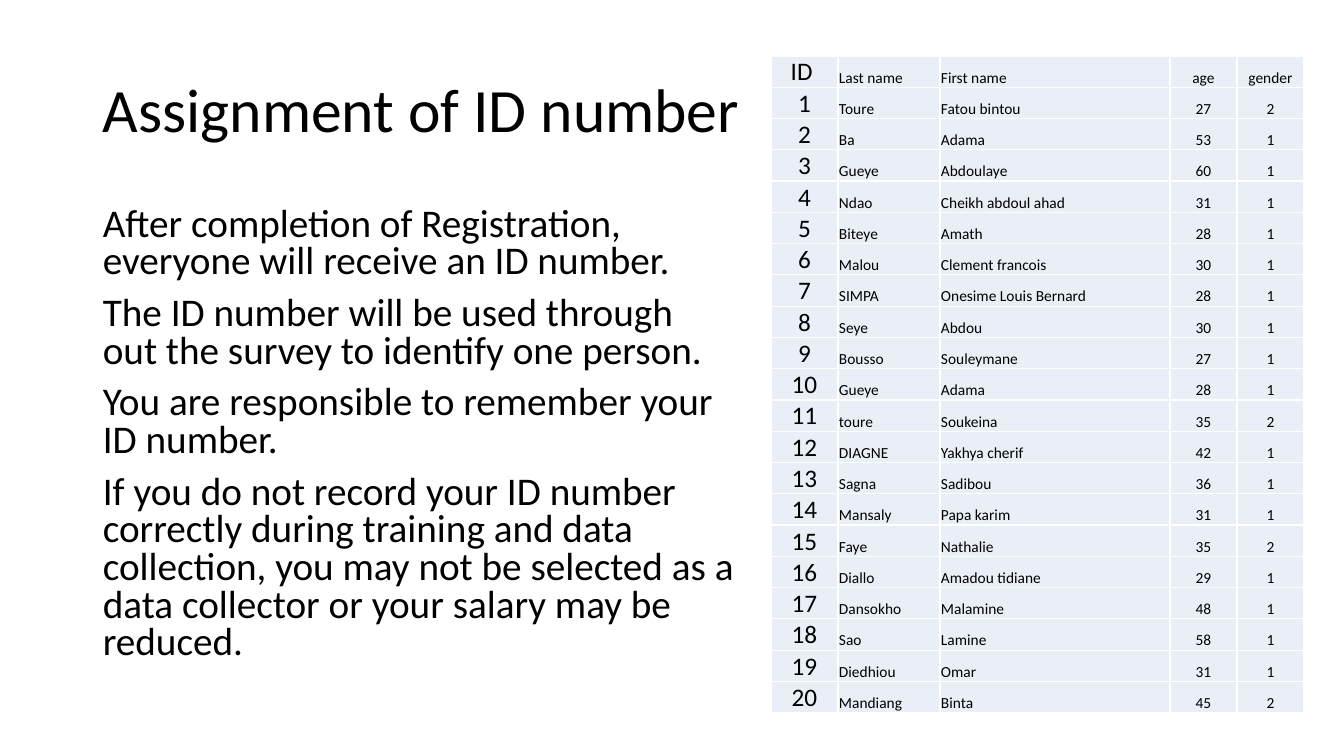
from lxml import etree
from pptx import Presentation
from pptx import util as u
from pptx.dml.color import RGBColor
from pptx.enum import text
from pptx.oxml.ns import qn

FONT = "Calibri"
BLACK, WHITE, PALE_BLUE = "000000", "FFFFFF", "EAEFF7"

TITLE = "Assignment of ID number"
RULES = [
    "After completion of Registration, everyone will receive an ID number.",
    "The ID number will be used through out the survey to identify one person.",
    "You are responsible to remember your ID number.",
    "If you do not record your ID number correctly during training and data "
    "collection, you may not be selected as a data collector or your salary "
    "may be reduced.",
]
HEADER = ("ID ", "Last name", "First name", "age", "gender")
# Last name, first name, age, gender; the ID is the position in the list
PEOPLE = [
    ("Toure", "Fatou bintou", 27, 2),
    ("Ba", "Adama", 53, 1),
    ("Gueye", "Abdoulaye", 60, 1),
    ("Ndao", "Cheikh abdoul ahad", 31, 1),
    ("Biteye", "Amath", 28, 1),
    ("Malou", "Clement francois", 30, 1),
    ("SIMPA", "Onesime Louis Bernard", 28, 1),
    ("Seye", "Abdou", 30, 1),
    ("Bousso", "Souleymane", 27, 1),
    ("Gueye", "Adama", 28, 1),
    ("toure", "Soukeina", 35, 2),
    ("DIAGNE", "Yakhya cherif", 42, 1),
    ("Sagna", "Sadibou", 36, 1),
    ("Mansaly", "Papa karim", 31, 1),
    ("Faye", "Nathalie", 35, 2),
    ("Diallo", "Amadou tidiane", 29, 1),
    ("Dansokho", "Malamine", 48, 1),
    ("Sao", "Lamine", 58, 1),
    ("Diedhiou", "Omar", 31, 1),
    ("Mandiang", "Binta", 45, 2),
]
COLUMN_WIDTHS = (67, 102, 230, 67, 67)
NAME_COLUMNS = (1, 2)


def px(length):
    return u.Emu(round(length * 914400 / 100.8))


def color(hex_code):
    return RGBColor.from_string(hex_code)


def style(paragraph, size):
    paragraph.font.name = FONT
    paragraph.font.size = u.Pt(size)
    paragraph.font.color.rgb = color(BLACK)


def add_text(slide, box, lines, size, spacing, anchor):
    frame = slide.shapes.add_textbox(*map(px, box)).text_frame
    frame.word_wrap = True
    frame.vertical_anchor = anchor
    frame.text = "\n".join(lines)
    for number, paragraph in enumerate(frame.paragraphs):
        paragraph.line_spacing = spacing
        if number:
            paragraph.space_before = u.Pt(10)
        style(paragraph, size)


def add_borders(cell):
    properties = cell._tc.get_or_add_tcPr()
    for side in ("a:lnL", "a:lnR", "a:lnT", "a:lnB"):
        border = etree.SubElement(properties, qn(side), w=str(u.Pt(1)))
        fill = etree.SubElement(border, qn("a:solidFill"))
        etree.SubElement(fill, qn("a:srgbClr"), val=WHITE)


def add_roster(slide, box):
    rows = [HEADER] + [(number, *person) for number, person in enumerate(PEOPLE, 1)]
    roster = slide.shapes.add_table(len(rows), len(HEADER), *map(px, box)).table
    roster.first_row = roster.horz_banding = False
    for column, width in zip(roster.columns, COLUMN_WIDTHS):
        column.width = px(width)
    for r, row in enumerate(rows):
        for c, value in enumerate(row):
            cell = roster.cell(r, c)
            cell.margin_left = cell.margin_right = cell.margin_top = px(1)
            cell.margin_bottom = 0
            cell.vertical_anchor = text.MSO_ANCHOR.BOTTOM
            add_borders(cell)
            cell.fill.solid()
            cell.fill.fore_color.rgb = color(PALE_BLUE)
            cell.text = str(value)
            paragraph = cell.text_frame.paragraphs[0]
            if c not in NAME_COLUMNS:
                paragraph.alignment = text.PP_ALIGN.CENTER
            style(paragraph, 11 if c else 18)


def main():
    deck = Presentation()
    deck.slide_width, deck.slide_height = px(1344), px(756)
    slide = deck.slides.add_slide(deck.slide_layouts[6])

    # Title and rules on the left
    add_text(slide, (93, 40, 1159, 146), [TITLE], 44, 0.9, text.MSO_ANCHOR.MIDDLE)
    add_text(slide, (93, 202, 651, 498), RULES, 28, 0.8, text.MSO_ANCHOR.TOP)

    # Roster on the right
    add_roster(slide, (771, 56, sum(COLUMN_WIDTHS), 657))

    deck.save("out.pptx")


if __name__ == "__main__":
    main()
